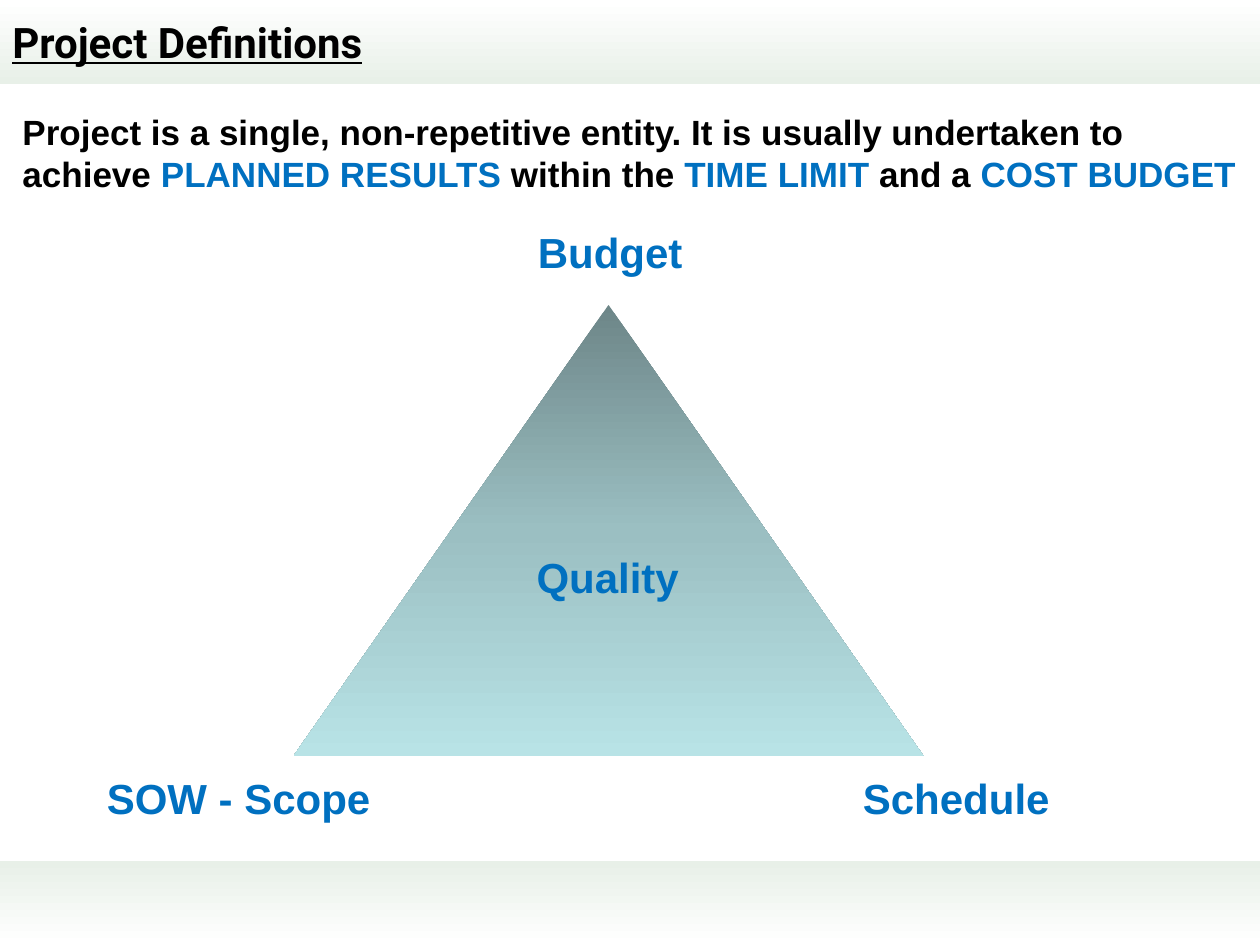
"""Build the Project Definitions slide with the project triangle."""
from copy import deepcopy

from pptx import Presentation
from pptx.dml.color import RGBColor
from pptx.enum import shapes, text
from pptx.util import Inches, Pt

BLACK = RGBColor(0x00, 0x00, 0x00)
BLUE = RGBColor(0x00, 0x70, 0xC0)
WHITE = RGBColor(0xFF, 0xFF, 0xFF)
MINT = RGBColor(0xE8, 0xF0, 0xE8)
TEAL_DARK = RGBColor(0x6D, 0x86, 0x88)
TEAL_MID = RGBColor(0x9B, 0xBF, 0xC2)
TEAL_LIGHT = RGBColor(0xB8, 0xE3, 0xE6)

WIDTH, HEIGHT, BAND = 10, 7.5, 0.67
TITLE = "Project Definitions"
DEFINITION = [
    ("Project is a single, non-repetitive entity. It is usually undertaken to achieve ", BLACK),
    ("PLANNED RESULTS ", BLUE),
    ("within the ", BLACK),
    ("TIME LIMIT ", BLUE),
    ("and a ", BLACK),
    ("COST BUDGET", BLUE),
]
CORNERS = [
    ("Budget", (4.17, 1.75, 1.58, 0.5)),
    ("SOW - Scope", (0.75, 6.08, 2.67, 0.5)),
    ("Schedule", (6.75, 6.08, 2.58, 0.5)),
]
CENTRE = ("Quality", (4.16, 4.33, 1.58, 0.5))


def add_gradient_shape(s, kind, box, colors):
    sp = s.shapes.add_shape(kind, *map(Inches, box))
    sp.shadow.inherit = False
    sp.line.fill.background()
    sp.fill.gradient()
    sp.fill.gradient_angle = 270
    stops = sp.fill._fill._gradFill.gsLst
    while len(stops) < len(colors):
        stops.append(deepcopy(stops[0]))
    for i, (stop, color) in enumerate(zip(sp.fill.gradient_stops, colors)):
        stop.position = i / (len(colors) - 1)
        stop.color.rgb = color
    return sp


def write(sp, runs, size, name="Arial", underline=None):
    tf = sp.text_frame
    tf.word_wrap = True
    p = tf.paragraphs[0]
    p.alignment = text.PP_ALIGN.LEFT
    for words, color in runs:
        r = p.add_run()
        r.text = words
        r.font.name = name
        r.font.size = Pt(size)
        r.font.bold = True
        r.font.underline = underline
        r.font.color.rgb = color


def add_text(s, box, runs, size):
    write(s.shapes.add_textbox(*map(Inches, box)), runs, size)


def main():
    prs = Presentation()
    prs.slide_width, prs.slide_height = Inches(WIDTH), Inches(HEIGHT)
    s = prs.slides.add_slide(prs.slide_layouts[6])
    rect = shapes.MSO_SHAPE.RECTANGLE

    add_gradient_shape(s, rect, (0, HEIGHT - BAND, WIDTH, BAND), [MINT, WHITE])
    header = add_gradient_shape(s, rect, (0, 0, WIDTH, BAND), [WHITE, MINT])
    header.text_frame.vertical_anchor = text.MSO_ANCHOR.MIDDLE
    write(header, [(TITLE, BLACK)], 24, "Roboto", True)

    for label, box in CORNERS:
        add_text(s, box, [(label, BLUE)], 24)
    add_gradient_shape(s, shapes.MSO_SHAPE.ISOSCELES_TRIANGLE, (2.33, 2.42, 5, 3.58),
                       [TEAL_DARK, TEAL_MID, TEAL_LIGHT])
    add_text(s, (0.08, 0.83, 9.92, 0.77), DEFINITION, 20)
    label, box = CENTRE
    add_text(s, box, [(label, BLUE)], 24)

    prs.save("out.pptx")


if __name__ == "__main__":
    main()
